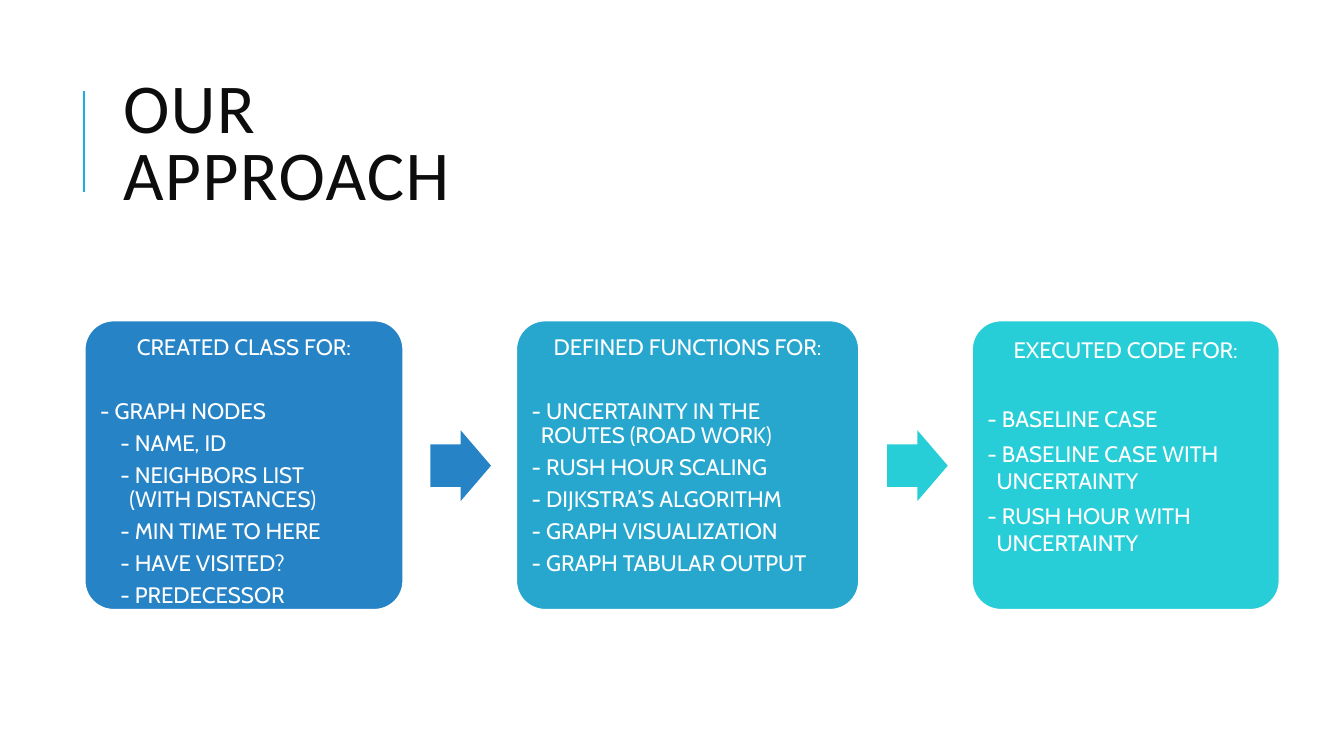
from dataclasses import dataclass

from pptx import Presentation
from pptx.dml.color import RGBColor
from pptx.enum.shapes import MSO_CONNECTOR, MSO_SHAPE
from pptx.enum.text import MSO_ANCHOR, MSO_AUTO_SIZE, PP_ALIGN
from pptx.oxml.ns import qn
from pptx.util import Emu, Pt
from lxml import etree

LEFT, CENTER = PP_ALIGN.LEFT, PP_ALIGN.CENTER
TOP, MIDDLE = MSO_ANCHOR.TOP, MSO_ANCHOR.MIDDLE
NO_FIT = MSO_AUTO_SIZE.NONE
ROUND_RECT, RIGHT_ARROW = MSO_SHAPE.ROUNDED_RECTANGLE, MSO_SHAPE.RIGHT_ARROW
STRAIGHT = MSO_CONNECTOR.STRAIGHT

EMU_PER_PX = 9144  # 100 px to the inch
TITLE_ONLY = 5


@dataclass(frozen=True)
class Theme:
    white: str = "FFFFFF"
    ink: str = "0D0D0D"
    accent: str = "1CADE4"
    blue: str = "2683C6"
    sky: str = "27A7CE"
    turquoise: str = "27CED7"
    title_font: str = "Calibri"
    body_font: str = "Cabin"
    title_size: int = 50
    body_size: int = 16
    item_gap: float = 5.6


THEME = Theme()
CARD_TOP, CARD_HEIGHT, CARD_INSET = 318, 287, 7
ARROW_TOP, ARROW_WIDTH, ARROW_HEIGHT = 427, 60, 70
HANG, LEVEL_INDENT = 9, 20

# left, width, colour, line spacing, gap after heading, heading, items (level, text)
CARDS = [
    (84, 316, THEME.blue, 0.9, 28.5, "CREATED CLASS FOR:", [
        (0, "- GRAPH NODES"),
        (1, "- NAME, ID"),
        (1, "- NEIGHBORS LIST\v(WITH DISTANCES)"),
        (1, "- MIN TIME TO HERE"),
        (1, "- HAVE VISITED?"),
        (1, "- PREDECESSOR"),
    ]),
    (512, 340, THEME.sky, 0.9, 28.5, "DEFINED FUNCTIONS FOR:", [
        (0, "- UNCERTAINTY IN THE\vROUTES (ROAD WORK)"),
        (0, "- RUSH HOUR SCALING"),
        (0, "- DIJKSTRA’S ALGORITHM"),
        (0, "- GRAPH VISUALIZATION"),
        (0, "- GRAPH TABULAR OUTPUT"),
    ]),
    (964, 305, THEME.turquoise, 1.0, 30.5, "EXECUTED CODE FOR:", [
        (0, "- BASELINE CASE"),
        (0, "- BASELINE CASE WITH\vUNCERTAINTY"),
        (0, "- RUSH HOUR WITH\vUNCERTAINTY"),
    ]),
]
ARROWS = [(427, THEME.blue), (880, THEME.turquoise)]


def px(n):
    return Emu(n * EMU_PER_PX)


def rgb(colour):
    return RGBColor.from_string(colour)


def apply(target, **values):
    for name, value in values.items():
        setattr(target, name, value)


def style_font(p, name, size, colour):
    apply(p.font, name=name, size=Pt(size))
    p.font.color.rgb = rgb(colour)


def add_title(s, text):
    title = s.shapes.title
    apply(title, left=px(112), top=px(64), width=px(485), height=px(164))
    tf = title.text_frame
    apply(tf, text=text, word_wrap=True, auto_size=NO_FIT, vertical_anchor=MIDDLE)
    p = tf.paragraphs[0]
    apply(p, alignment=LEFT, line_spacing=0.8)
    style_font(p, THEME.title_font, THEME.title_size, THEME.ink)
    p.runs[0].font._element.set("spc", "100")


def add_rule(s, x, top, bottom):
    rule = s.shapes.add_connector(STRAIGHT, px(x), px(bottom), px(x), px(top))
    rule.line.width = Pt(1.5)
    rule.line.color.rgb = rgb(THEME.accent)
    etree.SubElement(rule._element.spPr, qn("a:effectLst"))


def add_filled(s, kind, left, top, width, height, colour):
    sp = s.shapes.add_shape(kind, px(left), px(top), px(width), px(height))
    sp.shadow.inherit = False
    sp.fill.solid()
    sp.fill.fore_color.rgb = rgb(colour)
    sp.line.fill.background()
    return sp


def add_paragraph(tf, text, alignment, spacing, gap):
    p = tf.paragraphs[0] if not tf.text else tf.add_paragraph()
    apply(p, text=text, alignment=alignment, line_spacing=spacing, space_after=Pt(gap))
    style_font(p, THEME.body_font, THEME.body_size, THEME.white)
    return p


def add_card(s, left, width, colour, spacing, heading_gap, heading, items):
    sp = add_filled(s, ROUND_RECT, left, CARD_TOP, width, CARD_HEIGHT, colour)
    sp.adjustments[0] = 0.1
    sp.line.color.rgb = rgb(THEME.white)
    sp.line.width = Pt(1.25)
    tf = sp.text_frame
    inset = px(CARD_INSET)
    apply(tf, word_wrap=True, auto_size=NO_FIT, vertical_anchor=TOP,
          margin_left=inset, margin_right=inset, margin_top=inset, margin_bottom=inset)
    add_paragraph(tf, heading, CENTER, spacing, heading_gap)
    for level, text in items:
        p = add_paragraph(tf, text, LEFT, spacing, THEME.item_gap)
        pPr = p._p.get_or_add_pPr()
        pPr.set("marL", str(px(HANG + level * LEVEL_INDENT)))
        pPr.set("indent", str(px(-HANG)))


def add_arrow(s, left, colour):
    sp = add_filled(s, RIGHT_ARROW, left, ARROW_TOP, ARROW_WIDTH, ARROW_HEIGHT, colour)
    sp.adjustments[0] = 0.6
    sp.adjustments[1] = 0.5


def main():
    prs = Presentation()
    apply(prs, slide_width=px(1333), slide_height=px(750))
    s = prs.slides.add_slide(prs.slide_layouts[TITLE_ONLY])
    add_rule(s, 83, 90, 190)
    add_title(s, "OUR APPROACH")
    for card in CARDS:
        add_card(s, *card)
    for arrow in ARROWS:
        add_arrow(s, *arrow)
    prs.save("out.pptx")


if __name__ == "__main__":
    main()
